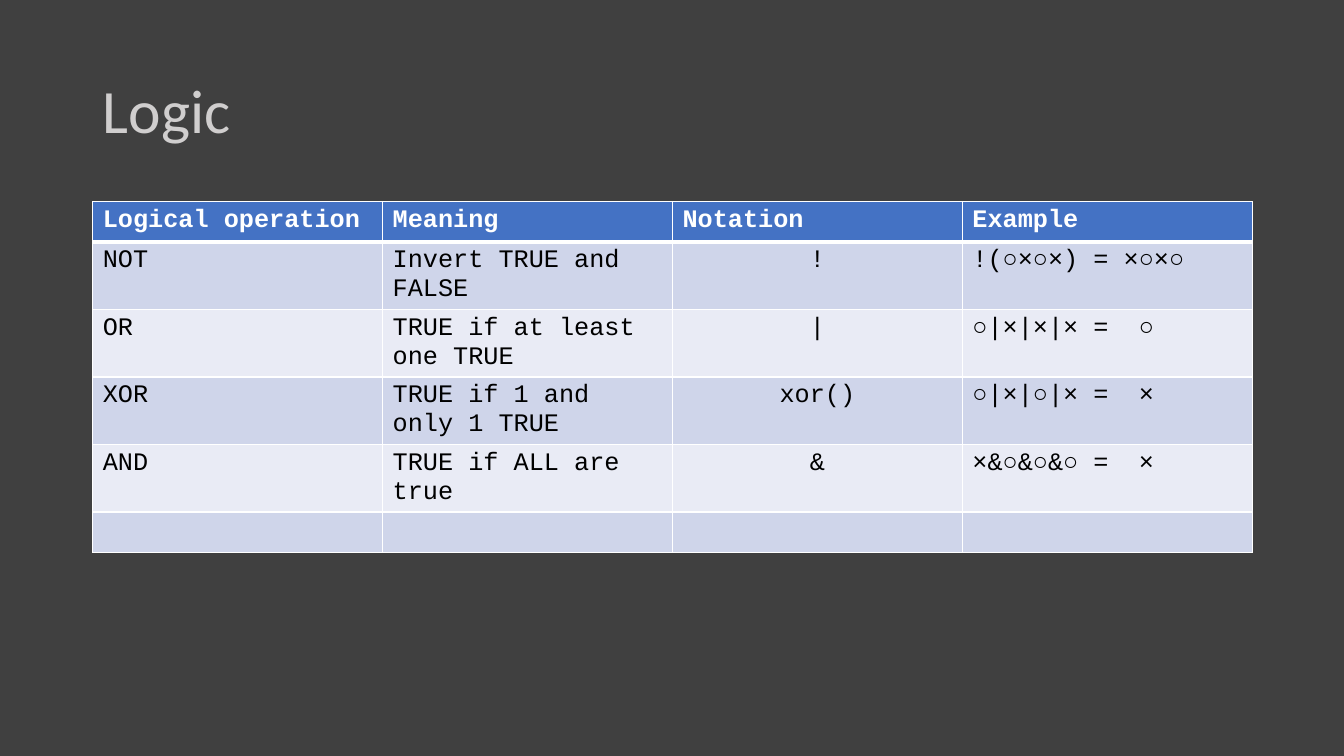
from lxml import etree
from pptx import Presentation
from pptx import util as u
from pptx.dml.color import RGBColor
from pptx.enum import text
from pptx.oxml import ns

COLORS = {
    "background": "404040",
    "title": "D0CECE",
    "header": "4472C4",
    "odd_row": "CFD5EA",
    "even_row": "E9EBF5",
    "header_text": "FFFFFF",
    "body_text": "000000",
    "grid": "FFFFFF",
}
OPERATIONS = [
    ("Logical operation", "Meaning", "Notation", "Example"),
    ("NOT", "Invert TRUE and FALSE", "!", "!(○×○×) = ×○×○"),
    ("OR", "TRUE if at least one TRUE", "|", "○|×|×|× =  ○"),
    ("XOR", "TRUE if 1 and only 1 TRUE", "xor()", "○|×|○|× =  ×"),
    ("AND", "TRUE if ALL are true", "&", "×&○&○&○ =  ×"),
    ("", "", "", ""),
]
NOTATION_COLUMN = 2


def color(name):
    """Return the named colour."""
    return RGBColor.from_string(COLORS[name])


def style_font(font, face, size, color_name, bold=False):
    """Apply face, size, colour and weight to a font."""
    font.name, font.size, font.bold = face, u.Pt(size), bold
    font.color.rgb = color(color_name)


def add_borders(cell, top, bottom):
    """Draw the grid lines of a cell, with top and bottom widths in points."""
    properties = cell._tc.get_or_add_tcPr()
    sides = {"lnL": 1, "lnR": 1, "lnT": top, "lnB": bottom}
    for position, (side, width) in enumerate(sides.items()):
        line = etree.Element(ns.qn(f"a:{side}"), w=str(u.Pt(width)))
        fill = etree.SubElement(line, ns.qn("a:solidFill"))
        etree.SubElement(fill, ns.qn("a:srgbClr"), val=COLORS["grid"])
        properties.insert(position, line)


def fill_cell(cell, content, row, column):
    """Write and format one cell according to its place in the table."""
    header = row == 0
    band = "header" if header else "odd_row" if row % 2 else "even_row"
    cell.fill.solid()
    cell.fill.fore_color.rgb = color(band)
    add_borders(cell, top=3 if row == 1 else 1, bottom=3 if header else 1)
    cell.text_frame.text = content
    paragraph = cell.text_frame.paragraphs[0]
    if column == NOTATION_COLUMN and not header:
        paragraph.alignment = text.PP_ALIGN.CENTER
    for run in paragraph.runs:
        style_font(run.font, "Courier New", 18,
                   "header_text" if header else "body_text", header)


def place_heading(slide, left, top, width, height):
    """Fill the title placeholder inside the given box."""
    heading = slide.shapes.title
    heading.left, heading.top = left, top
    heading.width, heading.height = width, height
    frame = heading.text_frame
    frame.text = "Logic"
    frame.vertical_anchor = text.MSO_ANCHOR.MIDDLE
    paragraph = frame.paragraphs[0]
    paragraph.alignment = text.PP_ALIGN.LEFT
    paragraph.line_spacing = 0.9
    style_font(paragraph.runs[0].font, "Calibri", 44, "title")


def place_operations(slide, left, top, width, height):
    """Build the table of logical operations inside the given box."""
    table = slide.shapes.add_table(
        len(OPERATIONS), len(OPERATIONS[0]), left, top, width, height).table
    single_line = u.Inches(0.4)
    double_line = (height - 2 * single_line) // (len(OPERATIONS) - 2)
    for row, contents in enumerate(OPERATIONS):
        wraps = 0 < row < len(OPERATIONS) - 1
        table.rows[row].height = double_line if wraps else single_line
        for column, content in enumerate(contents):
            fill_cell(table.cell(row, column), content, row, column)


def build_logic_slide(deck):
    """Add the slide on logical operations."""
    slide = deck.slides.add_slide(deck.slide_layouts[5])
    slide.background.fill.solid()
    slide.background.fill.fore_color.rgb = color("background")
    left, width = u.Inches(0.92), u.Inches(11.5)
    place_heading(slide, left, u.Inches(0.4), width, u.Inches(1.45))
    place_operations(slide, left, u.Inches(2), width, u.Inches(3.48))


deck = Presentation()
deck.slide_width, deck.slide_height = u.Inches(13.33), u.Inches(7.5)
build_logic_slide(deck)
deck.save("out.pptx")
